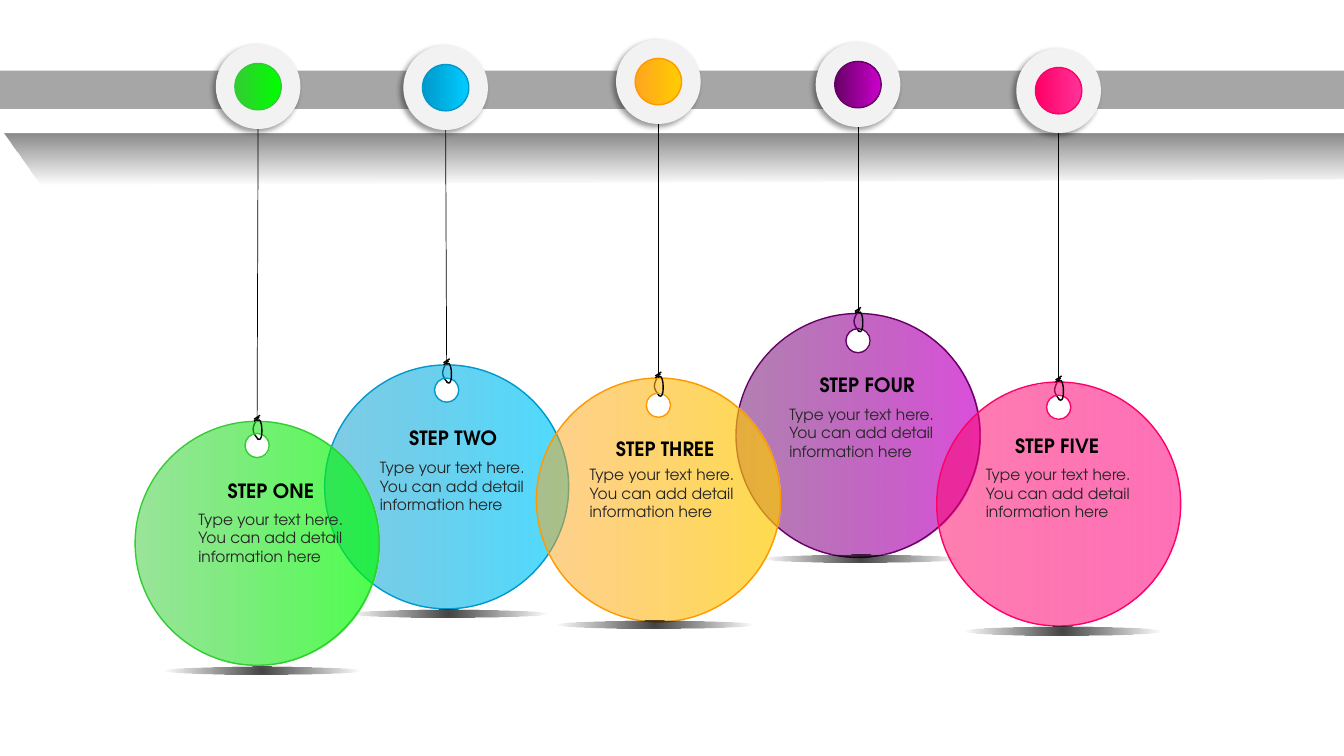
from lxml import etree
from pptx import Presentation
from pptx.dml.color import RGBColor
from pptx.enum.shapes import MSO_CONNECTOR, MSO_SHAPE
from pptx.enum.text import MSO_AUTO_SIZE
from pptx.oxml.ns import qn
from pptx.util import Pt

OVAL, ROUND_BAR = MSO_SHAPE.OVAL, MSO_SHAPE.ROUNDED_RECTANGLE
STRAIGHT = MSO_CONNECTOR.STRAIGHT
GROW = MSO_AUTO_SIZE.SHAPE_TO_FIT_TEXT

# Content, back to front. Positions in px, 100 px to the inch
BODY = "Type your text here. You can add detail information here"
STEPS = [
    dict(title="STEP FOUR", color="purple", disc=(851, 311), hole=27, ring=(851, 42),
         shade=(756, 550), title_at=(803, 365, 115), body_at=(773, 397)),
    dict(title="STEP FIVE", color="pink", disc=(1050, 379), hole=25, ring=(1050, 48),
         shade=(956, 622), title_at=(997, 426, 104), body_at=(968, 457)),
    dict(title="STEP TWO", color="blue", disc=(443, 362), hole=25, ring=(442, 45),
         shade=(347, 605), title_at=(396, 418, 108), body_at=(367, 450)),
    dict(title="STEP THREE", color="orange", disc=(653, 375), hole=27, ring=(653, 39),
         shade=(551, 616), title_at=(601, 429, 119), body_at=(575, 457)),
    dict(title="STEP ONE", color="green", disc=(255, 418), hole=24, ring=(256, 44),
         shade=(162, 661), title_at=(216, 470, 108), body_at=(187, 501)),
]
COLORS = {
    "purple": "660066", "purple_end": "CC00CC", "purple_line": "660066",
    "pink": "FF0066", "pink_end": "FF3399", "pink_line": "FF0066",
    "blue": "0099CC", "blue_end": "00CCFF", "blue_line": "0099CC",
    "orange": "FFA51F", "orange_end": "FFCC00", "orange_line": "FF9900",
    "green": "33CC33", "green_end": "00FF00", "green_line": "33CC33",
    "black": "000000", "white": "FFFFFF", "rail": "A6A6A6",
    "ring": "F2F2F2", "body": "262626",
}
FONT = "TeX Gyre Adventor"

# Sizes in px; the thread runs are offsets from the top of a disc
DISC_R, HOLE_R, RING_D, DOT_D = 121, 12, 84, 46
SHADE_W, SHADE_H = 196, 8
RAIL_SHADE = [(41, 183), (-17, 102), (1322, 117), (1362, 177)]
LOOP_LEFT = [(1, 18), (-1, 15), (-4, 12), (-4, 8), (-4, 5), (-2, 1), (0, -2)]
LOOP_RIGHT = [(0, -1), (2, -3), (3, -1), (4, 2), (5, 5), (5, 14), (4, 16),
              (3, 19), (1, 18), (0, 17)]
KNOTS = [[(-3, 0), (2, -4)], [(-3, -2), (3, -6)]]
# Unit circle as four cubic curves
K = 0.55
UNIT_CIRCLE = [(0, -1), (-K, -1), (-1, -K), (-1, 0), (-1, K), (-K, 1), (0, 1),
               (K, 1), (1, K), (1, 0), (1, -K), (K, -1), (0, -1)]


def px(n):
    return round(n * 9144)


def rgb(name):
    return RGBColor.from_string(COLORS[name])


def add_color(parent, name, alpha):
    clr = etree.SubElement(parent, qn("a:srgbClr"), val=COLORS[name])
    etree.SubElement(clr, qn("a:alpha"), val=str(alpha * 1000))


def gradient(sp, stops, angle=None):
    """Two-stop gradient with opacity: linear at an angle, else from the centre."""
    sp.fill.background()
    none = sp._element.spPr.find(qn("a:noFill"))
    grad = etree.Element(qn("a:gradFill"), rotWithShape="1")
    gs_list = etree.SubElement(grad, qn("a:gsLst"))
    for pos, (name, alpha) in zip((0, 100000), stops):
        add_color(etree.SubElement(gs_list, qn("a:gs"), pos=str(pos)), name, alpha)
    if angle is None:
        radial = etree.SubElement(grad, qn("a:path"), path="circle")
        etree.SubElement(radial, qn("a:fillToRect"), l="50000", t="50000", r="50000", b="50000")
    else:
        etree.SubElement(grad, qn("a:lin"), ang=str(angle * 60000), scaled="0")
    none.getparent().replace(none, grad)


def outline(sp, name=None):
    sp.shadow.inherit = False
    if name:
        sp.line.color.rgb = rgb(name)
        sp.line.width = Pt(1)
    else:
        sp.line.fill.background()


def preset(shapes, kind, x, y, w, h, fill=None, line=None):
    sp = shapes.add_shape(kind, px(x), px(y), px(w), px(h))
    outline(sp, line)
    if fill:
        sp.fill.solid()
        sp.fill.fore_color.rgb = rgb(fill)
    return sp


def bend(sp):
    """Turn every three line segments into one cubic curve."""
    segments = list(sp._element.spPr.iter(qn("a:lnTo")))
    for i in range(0, len(segments), 3):
        cubic = etree.Element(qn("a:cubicBezTo"))
        segments[i].addprevious(cubic)
        for segment in segments[i:i + 3]:
            cubic.append(segment[0])
            segment.getparent().remove(segment)


def freeform(shapes, contours, line=None, close=True, curved=False):
    contours = [[(px(x), px(y)) for x, y in c] for c in contours]
    fb = shapes.build_freeform(*contours[0][0])
    for i, contour in enumerate(contours):
        if i:
            fb.move_to(*contour[0])
        fb.add_line_segments(contour[1:], close=close)
    sp = fb.convert_to_shape()
    outline(sp, line)
    if curved:
        bend(sp)
    return sp


def circle(cx, cy, r):
    return [(cx + r * x, cy + r * y) for x, y in UNIT_CIRCLE]


def thread(shapes, pts, cx, top, curved=True):
    pts = [(cx + x, top + y) for x, y in pts]
    freeform(shapes, [pts], "black", False, curved).fill.background()


def label(shapes, text, x, y, w, h, size, color, bold=False, wrap=True):
    tf = shapes.add_textbox(px(x), px(y), px(w), px(h)).text_frame
    tf.word_wrap = wrap
    tf.auto_size = GROW
    r = tf.paragraphs[0].add_run()
    r.text = text
    r.font.name, r.font.size, r.font.bold = FONT, Pt(size), bold
    r.font.color.rgb = rgb(color)


def add_step(shapes, step):
    color = step["color"]
    start, end, line = color, color + "_end", color + "_line"
    cx, top = step["disc"]
    ring_x, ring_y = step["ring"]

    # Disc with its hole, and the thread through it
    thread(shapes, LOOP_LEFT, cx, top)
    disc = freeform(shapes, [circle(cx, top + step["hole"], HOLE_R),
                             circle(cx, top + DISC_R, DISC_R)], line, curved=True)
    gradient(disc, [(start, 50), (end, 70)], 0)

    # Pin on the rail
    ring = preset(shapes, OVAL, ring_x - RING_D / 2, ring_y, RING_D, RING_D, "ring")
    effects = ring._element.spPr.find(qn("a:effectLst"))
    shadow = etree.SubElement(effects, qn("a:outerShdw"), blurRad=str(Pt(4)), dist=str(Pt(3)),
                              dir=str(135 * 60000), algn="tr", rotWithShape="0")
    add_color(shadow, "black", 40)
    dot = preset(shapes, OVAL, ring_x - DOT_D / 2, ring_y + (RING_D - DOT_D) / 2,
                 DOT_D, DOT_D, line=line)
    gradient(dot, [(start, 100), (end, 100)], 0)

    # String and knot
    string = shapes.add_connector(STRAIGHT, px(ring_x), px(ring_y + RING_D), px(cx), px(top))
    string.line.color.rgb = rgb("black")
    string.line.width = Pt(0.5)
    etree.SubElement(string._element.spPr, qn("a:effectLst"))
    thread(shapes, LOOP_RIGHT, cx, top)
    for knot in KNOTS:
        thread(shapes, knot, cx, top, curved=False)

    # Ground shade and text
    shade = preset(shapes, OVAL, *step["shade"], SHADE_W, SHADE_H)
    gradient(shade, [("black", 74), ("black", 0)])
    label(shapes, BODY, *step["body_at"], 186, 66, 11, "body")
    label(shapes, step["title"], *step["title_at"], 34, 14, "black", bold=True, wrap=False)


def main():
    prs = Presentation()
    prs.slide_width, prs.slide_height = px(1333), px(750)
    shapes = prs.slides.add_slide(prs.slide_layouts[6]).shapes

    # Rail and its shade
    rail_shade = freeform(shapes, [RAIL_SHADE])
    gradient(rail_shade, [("black", 74), ("black", 0)], 90)
    for box, fill in (((-66, 48, 1492, 84), "white"), ((-32, 70, 1411, 38), "rail")):
        preset(shapes, ROUND_BAR, *box, fill).adjustments[0] = 0.5

    for step in STEPS:
        add_step(shapes.add_group_shape().shapes, step)
    prs.save("out.pptx")


if __name__ == "__main__":
    main()
